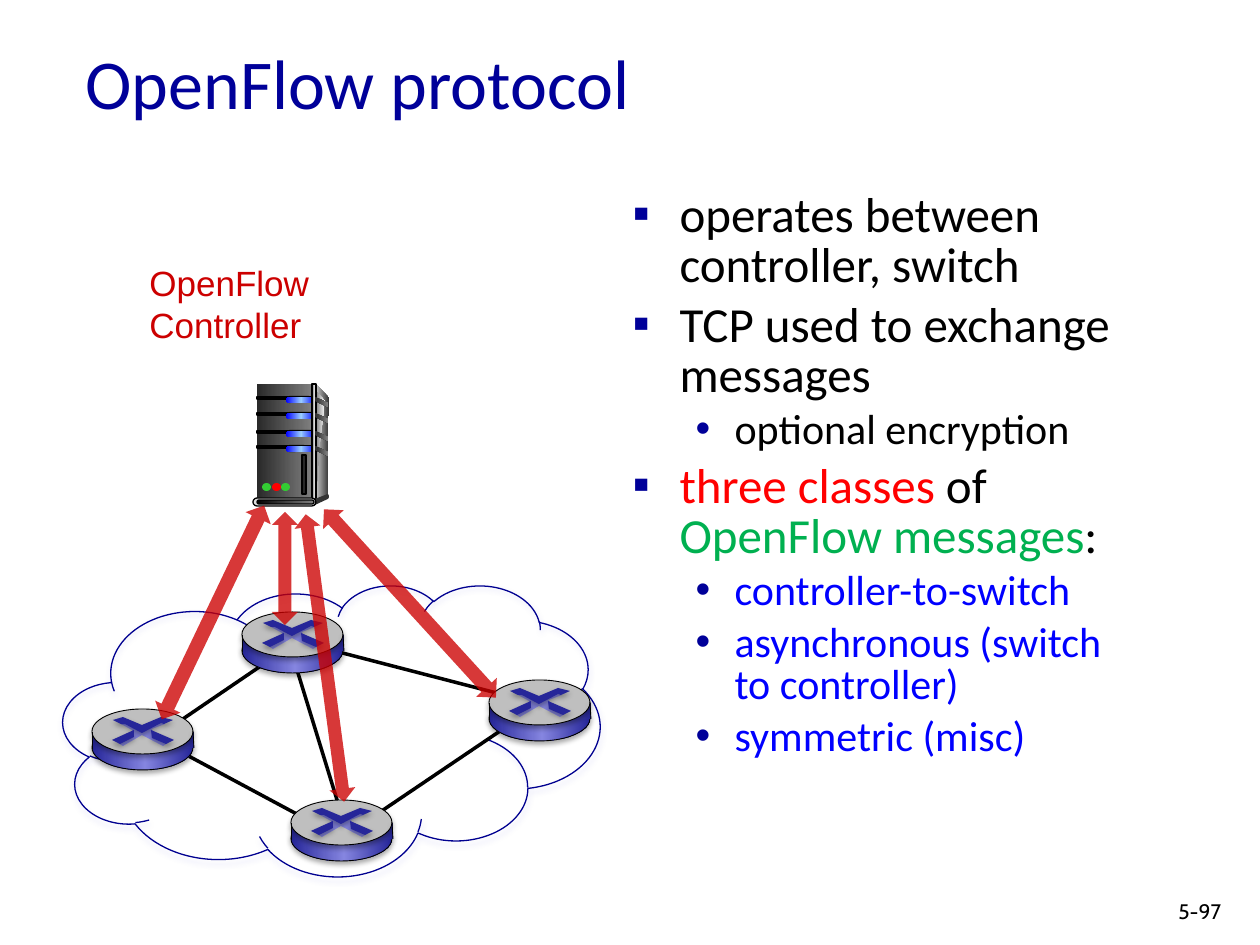
from lxml import etree
from pptx import Presentation
from pptx import util as u
from pptx.dml.color import RGBColor
from pptx.enum import shapes as es, text as et
from pptx.oxml.ns import qn

PX = 914400 / 126

BLACK = RGBColor(0, 0, 0)
NAVY = RGBColor(0x00, 0x00, 0x99)
CLOUD_LINE = RGBColor(0x00, 0x00, 0x90)
CLOUD_SHADE = RGBColor(0xA5, 0xA5, 0xE9)
RED = RGBColor(0xFF, 0, 0)
DARK_RED = RGBColor(0xCC, 0, 0)
GREEN = RGBColor(0x00, 0xB0, 0x50)
LED_GREEN = RGBColor(0x33, 0xCC, 0x33)
BLUE = RGBColor(0, 0, 0xFF)
SKY = RGBColor(0x99, 0xCC, 0xFF)
ROUTER_DARK = RGBColor(0x26, 0x26, 0x99)
ROUTER_LIGHT = RGBColor(0x85, 0x85, 0xE0)
ROUTER_TOP = RGBColor(0xBF, 0xBF, 0xBF)
COAL = RGBColor(0x29, 0x29, 0x29)
DARK = RGBColor(0x33, 0x33, 0x33)
GRAY = RGBColor(0x80, 0x80, 0x80)
SILVER = RGBColor(0xDD, 0xDD, 0xDD)
PALE = RGBColor(0xF8, 0xF8, 0xF8)

# Gradients run left to right: (position in percent, colour)
ROUTER_SIDE = [(0, ROUTER_DARK), (53, ROUTER_LIGHT), (100, ROUTER_DARK)]
CASE = [(0, COAL), (100, GRAY)]
DRIVE = [(0, BLUE), (50, SKY), (100, BLUE)]
EDGE = [(0, DARK), (50, SILVER), (100, DARK)]

RECT, OVAL = es.MSO_SHAPE.RECTANGLE, es.MSO_SHAPE.OVAL
PILL, CLOUD = es.MSO_SHAPE.ROUNDED_RECTANGLE, es.MSO_SHAPE.CLOUD
TWO_WAY = es.MSO_SHAPE.UP_DOWN_ARROW


def px(value):
    return u.Emu(round(value * PX))


def sub(parent, tag, **attributes):
    return etree.SubElement(parent, qn(tag), **attributes)


class SlideArtist:
    body_font = "Calibri"

    def __init__(self, slide):
        self.slide = slide
        self.shapes = slide.shapes

    def _place(self, shape, box):
        shape.left, shape.top, shape.width, shape.height = map(px, box)

    def _shadow(self, effects, color, alpha):
        shade = sub(effects, "a:outerShdw", blurRad="39370", dist="22860",
                    dir="5400000", rotWithShape="0")
        rgb = sub(shade, "a:srgbClr", val=str(color))
        sub(rgb, "a:alpha", val=str(alpha * 1000))

    def _style(self, shape, fill, line=None, width=0.75, shadow=None, alpha=None):
        props = shape._element.spPr
        if isinstance(fill, list):
            shape.fill.background()
            gradient = etree.Element(qn("a:gradFill"), rotWithShape="1")
            stops = sub(gradient, "a:gsLst")
            for position, color in fill:
                stop = sub(stops, "a:gs", pos=str(position * 1000))
                sub(stop, "a:srgbClr", val=str(color))
            sub(gradient, "a:lin", ang="0", scaled="1")
            props.replace(props.find(qn("a:noFill")), gradient)
        elif fill is None:
            shape.fill.background()
        else:
            shape.fill.solid()
            shape.fill.fore_color.rgb = fill
            if alpha:
                rgb = props.find(qn("a:solidFill"))[0]
                sub(rgb, "a:alpha", val=str(alpha * 1000))
        if line is None:
            shape.line.fill.background()
        else:
            shape.line.color.rgb = line
            shape.line.width = u.Pt(width)
        shape.shadow.inherit = False
        if shadow is not None:
            self._shadow(props.find(qn("a:effectLst")), shadow, 35)

    def shape(self, kind, box, fill, rotation=0, **style):
        shape = self.shapes.add_shape(kind, *map(px, box))
        shape.rotation = rotation
        if kind == PILL:
            shape.adjustments[0] = 0.5
        self._style(shape, fill, **style)

    def polygon(self, points, fill, **style):
        builder = self.shapes.build_freeform(*points[0], scale=PX)
        builder.add_line_segments(points[1:], close=True)
        self._style(builder.convert_to_shape(), fill, **style)

    def line(self, start, end, width, shadow=False):
        link = self.shapes.add_connector(es.MSO_CONNECTOR.STRAIGHT,
                                         *map(px, (*start, *end)))
        link.line.color.rgb = BLACK
        link.line.width = u.Pt(width)
        effects = sub(link._element.spPr, "a:effectLst")
        if shadow:
            self._shadow(effects, BLACK, 38)

    def _font(self, run, name, size, color):
        run.font.name, run.font.size = name, u.Pt(size)
        run.font.color.rgb = color

    def title(self, box, words):
        title = self.shapes.title
        self._place(title, box)
        title.text_frame.text = words
        title.text_frame.vertical_anchor = et.MSO_ANCHOR.MIDDLE
        paragraph = title.text_frame.paragraphs[0]
        paragraph.alignment = et.PP_ALIGN.LEFT
        self._font(paragraph.runs[0], self.body_font, 40, NAVY)

    def bullets(self, box, items):
        body = self.slide.placeholders[1]
        self._place(body, box)
        frame = body.text_frame
        frame.auto_size = et.MSO_AUTO_SIZE.NONE
        for index, (level, runs) in enumerate(items):
            paragraph = frame.add_paragraph() if index else frame.paragraphs[0]
            paragraph.level = level
            margin, hang, mark, size = [(47, 47, "▪", 28), (102, 39, "•", 24)][level]
            props = paragraph._p.get_or_add_pPr()
            props.set("marL", str(px(margin)))
            props.set("indent", str(-px(hang)))
            sub(sub(props, "a:buClr"), "a:srgbClr", val=str(NAVY))
            sub(props, "a:buFont", typeface="Arial")
            sub(props, "a:buChar", char=mark)
            paragraph.line_spacing = 0.85
            paragraph.space_before = u.Pt(size * 0.2 if index else 0)
            for words, color in runs:
                run = paragraph.add_run()
                run.text = words
                self._font(run, self.body_font, size, color)

    def label(self, box, words, font, size, color, right_inset=0):
        label = self.shapes.add_textbox(*map(px, box))
        frame = label.text_frame
        frame.word_wrap = True
        frame.margin_right = px(right_inset)
        frame.text = words
        self._font(frame.paragraphs[0].runs[0], font, size, color)

    def server(self):
        # Case: side, front and glare
        self.polygon([(316, 384), (329, 398), (328, 495), (314, 500)], [(0, SILVER), (100, DARK)])
        self.shape(RECT, (257, 384, 56, 116), CASE)
        self.polygon([(316, 391), (325, 401), (319, 450), (316, 497)], [(0, GRAY), (100, PALE)])
        # Drive bays
        bays = (397, 413, 431, 446)
        for y in bays:
            self.shape(RECT, (257, y, 31, 2), BLACK, line=BLACK)
            self.shape(PILL, (286, y - 1, 30, 7), BLACK)
            self.shape(PILL, (286, y, 30, 6), DRIVE)
        self.shape(RECT, (312, 384, 4, 116), EDGE, line=BLACK)
        for y in bays:
            self.polygon([(315, y), (328, y + 6), (328, y + 10), (315, y + 4)], CASE)
        # Base, lights and slot
        self.shape(OVAL, (326, 494, 3, 5), DARK)
        self.polygon([(315, 499), (315, 505), (328, 499), (328, 494)], DARK)
        self.shape(PILL, (253, 498, 63, 8), SILVER, line=BLACK)
        self.shape(PILL, (257, 500, 57, 4), [(0, BLACK), (100, GRAY)], line=BLACK)
        for x, color in ((262, LED_GREEN), (272, RED), (281, LED_GREEN)):
            self.shape(OVAL, (x, 483, 9, 8), color)
        self.shape(RECT, (302, 455, 4, 39), COAL, line=BLACK)

    def router(self, x, y):
        def at(*points):
            return [(x + dx, y + dy) for dx, dy in points]

        rim = dict(line=BLACK, width=0.5, shadow=BLACK)
        self.shape(OVAL, (x, y + 16, 101, 45), ROUTER_SIDE, **rim)
        self.shape(RECT, (x, y + 23, 102, 16), ROUTER_SIDE)
        self.shape(OVAL, (x, y, 101, 45), ROUTER_TOP, **rim)
        self.polygon(at((50, 26), (31, 37), (26, 34), (42, 28), (40, 21), (29, 15), (33, 14),
                        (50, 21), (68, 14), (73, 15), (60, 20), (63, 29), (76, 34), (71, 37)),
                     ROUTER_LIGHT)
        chevron = at((21, 11), (31, 8), (50, 16), (69, 8), (81, 11),
                     (72, 15), (69, 14), (50, 24), (33, 15), (29, 15))
        right_leg = at((59, 21), (82, 31), (74, 35), (60, 29))
        left_leg = at((42, 21), (42, 28), (28, 35), (20, 31))
        for part in (chevron, right_leg, left_leg):
            self.polygon(part, ROUTER_DARK, shadow=BLACK)
        for start, end in (at((0, 40), (0, 23)), at((102, 39), (101, 22))):
            self.line(start, end, 0.5, shadow=True)


def main():
    deck = Presentation()
    deck.slide_width, deck.slide_height = u.Inches(10), u.Inches(7.5)
    art = SlideArtist(deck.slides.add_slide(deck.slide_layouts[1]))

    art.title((73, 3, 1071, 157), "OpenFlow protocol")
    art.bullets((620, 186, 525, 640), [
        (0, [("operates between controller, switch", BLACK)]),
        (0, [("TCP used to exchange messages", BLACK)]),
        (1, [("optional encryption", BLACK)]),
        (0, [("three classes ", RED), ("of ", BLACK),
             ("OpenFlow messages", GREEN), (":", BLACK)]),
        (1, [("controller-to-switch", BLUE)]),
        (1, [("asynchronous (switch to controller)", BLUE)]),
        (1, [("symmetric (misc)", BLUE)]),
    ])

    # Network cloud and its links
    art.shape(CLOUD, (63, 585, 537, 291), None, line=CLOUD_LINE, shadow=CLOUD_SHADE)
    for start, end in (((155, 738), (321, 625)), ((155, 738), (321, 827)),
                       ((294, 660), (338, 803)), ((331, 650), (512, 697)),
                       ((358, 827), (512, 723))):
        art.line(start, end, 2)

    # Controller
    art.server()
    art.label((137, 255, 339, 55), "OpenFlow Controller", "Arial", 20, DARK_RED, right_inset=120)

    # Switches
    for corner in ((291, 800), (489, 680), (92, 709), (242, 612)):
        art.router(*corner)

    # Messages between controller and switches
    for box, angle in (((312, 513, 26, 290), 352.4), ((272, 512, 26, 113), 0),
                       ((396, 476, 28, 255), 317.6), ((199, 494, 28, 237), 25.6)):
        art.shape(TWO_WAY, box, DARK_RED, rotation=angle, alpha=78)

    art.label((1166, 892, 76, 38), "5-97", "Cabin", 12, BLACK)
    deck.save("out.pptx")


if __name__ == "__main__":
    main()
